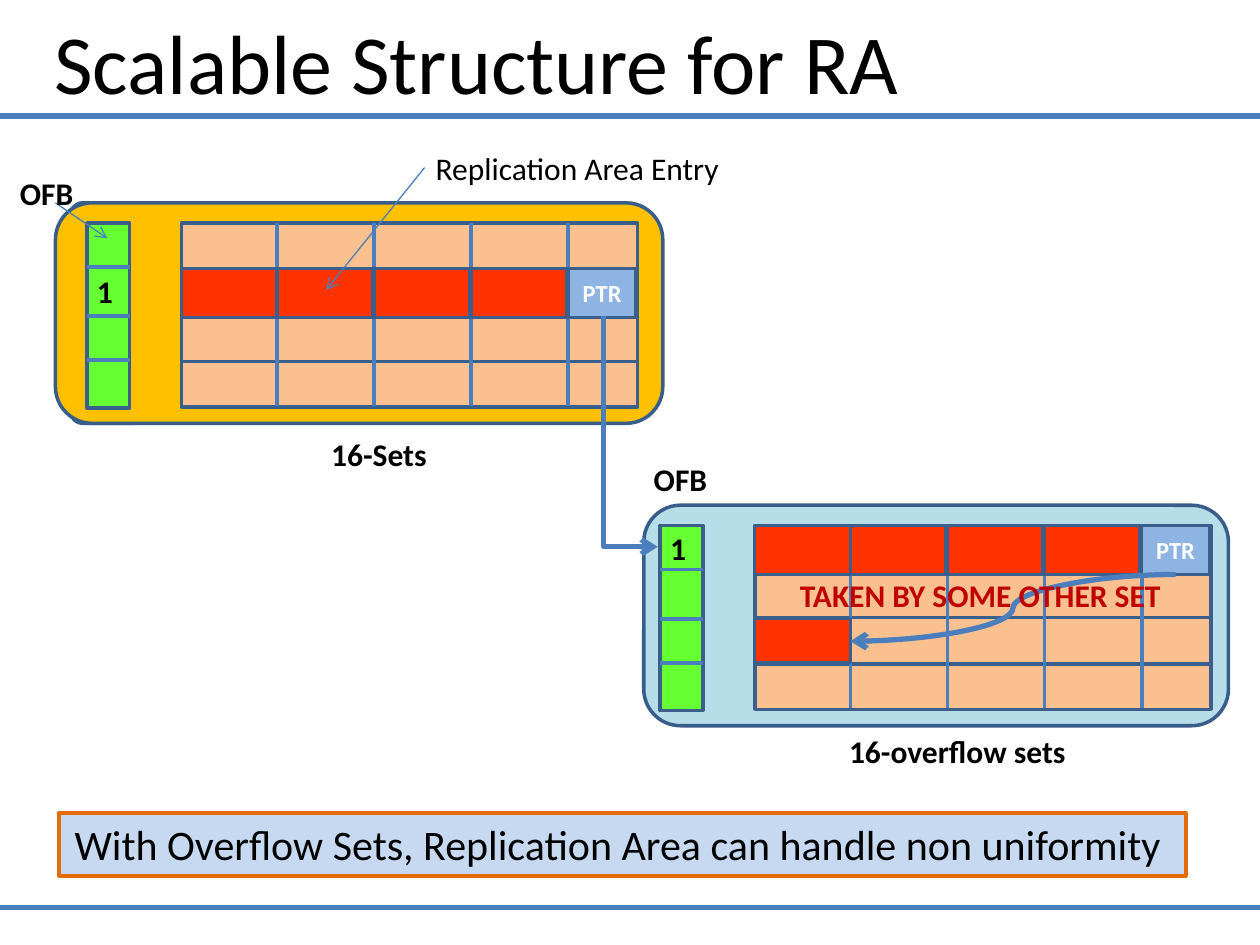
from dataclasses import dataclass

from lxml import etree
from pptx import Presentation
from pptx import util as u
from pptx.dml import color
from pptx.enum import shapes, text
from pptx.oxml import ns

PX = 9144


@dataclass(frozen=True)
class Theme:
    font: str = "Calibri"
    ink: str = "000000"
    white: str = "FFFFFF"
    connector: str = "4B7EBC"
    outline: str = "3A5F8C"
    panel_outline: str = "385D8A"
    gold: str = "FFC000"
    aqua: str = "B7DEE8"
    peach: str = "FAC090"
    green: str = "66FF33"
    red: str = "FF3300"
    pointer: str = "8EB4E3"
    warning: str = "C00000"
    banner: str = "C6D9F1"
    banner_outline: str = "E46C0A"
    title_size: int = 48
    banner_size: int = 24
    label_size: int = 18
    pointer_size: int = 14


@dataclass(frozen=True)
class Box:
    left: int
    top: int
    width: int
    height: int

    def emu(self) -> list:
        return [u.Emu(value * PX) for value in (self.left, self.top, self.width, self.height)]


@dataclass(frozen=True)
class Array:
    left: int
    top: int
    full_row: int


@dataclass(frozen=True)
class Label:
    words: str
    box: Box
    bold: bool = True
    colour: str = Theme.ink


THEME = Theme()
ROWS = (0, 36, 73, 109)
COLUMNS = (0, 76, 153, 230, 307)
FLAG_DIVIDERS = (35, 74, 109)
ROW_WIDTH, ROW_HEIGHT = 362, 37
ENTRY_WIDTH, ENTRY_HEIGHT = 76, 39
POINTER_WIDTH = 54
FLAG_OFFSET, FLAG_WIDTH, FLAG_HEIGHT = -75, 34, 147

REPLICATION = Array(144, 177, 1)
OVERFLOW = Array(599, 417, 0)
LABELS = (
    Label("OFB", Box(6, 133, 63, 40)),
    Label("OFB", Box(509, 360, 63, 40)),
    Label("16-Sets", Box(253, 340, 97, 40)),
    Label("16-overflow sets", Box(664, 576, 194, 40)),
    Label("Replication Area Entry", Box(336, 113, 249, 40), bold=False),
    Label("TAKEN BY SOME OTHER SET", Box(625, 452, 310, 40), colour=THEME.warning),
)


def rgb(value: str) -> color.RGBColor:
    return color.RGBColor.from_string(value)


def style(paragraph, size: int, colour: str, bold: bool = False) -> None:
    paragraph.font.name = THEME.font
    paragraph.font.size = u.Pt(size)
    paragraph.font.bold = bold
    paragraph.font.color.rgb = rgb(colour)


def add_block(slide, box: Box, fill: str, outline: str = THEME.outline, weight: float = 2,
              kind=shapes.MSO_SHAPE.RECTANGLE):
    shape = slide.shapes.add_shape(kind, *box.emu())
    shape.shadow.inherit = False
    shape.fill.solid()
    shape.fill.fore_color.rgb = rgb(fill)
    shape.line.color.rgb = rgb(outline)
    shape.line.width = u.Pt(weight)
    return shape


def write_centred(shape, words: str, size: int, colour: str, bold: bool = False) -> None:
    frame = shape.text_frame
    frame.word_wrap = False
    frame.vertical_anchor = text.MSO_ANCHOR.MIDDLE
    paragraph = frame.paragraphs[0]
    paragraph.text = words
    paragraph.alignment = text.PP_ALIGN.CENTER
    style(paragraph, size, colour, bold)


def add_label(slide, label: Label) -> None:
    frame = slide.shapes.add_textbox(*label.box.emu()).text_frame
    frame.word_wrap = False
    frame.auto_size = text.MSO_AUTO_SIZE.SHAPE_TO_FIT_TEXT
    paragraph = frame.paragraphs[0]
    paragraph.text = label.words
    style(paragraph, THEME.label_size, label.colour, label.bold)


def add_line(slide, start: tuple[int, int], end: tuple[int, int], weight: float = 2.25,
             arrow: bool = False, kind=shapes.MSO_CONNECTOR.STRAIGHT):
    points = [u.Emu(value * PX) for value in (*start, *end)]
    connector = slide.shapes.add_connector(kind, *points)
    connector.line.color.rgb = rgb(THEME.connector)
    connector.line.width = u.Pt(weight)
    if arrow:
        etree.SubElement(connector.line._get_or_add_ln(), ns.qn("a:tailEnd"), type="arrow")
    etree.SubElement(connector._element.spPr, ns.qn("a:effectLst"))
    return connector


def add_corner_arrow(slide, start: tuple[int, int], end: tuple[int, int]) -> None:
    across, down = end[0] - start[0], end[1] - start[1]
    left = (start[0] + end[0] - down) // 2
    top = (start[1] + end[1] - across) // 2
    connector = add_line(slide, (left + down, top), (left, top + across), 3, True,
                         shapes.MSO_CONNECTOR.ELBOW)
    properties = connector._element.spPr
    properties.find(ns.qn("a:xfrm")).set("rot", str(270 * 60000))
    properties.find(ns.qn("a:prstGeom")).set("prst", "bentConnector2")


def add_panel(slide, box: Box, fill: str, outline: str = THEME.panel_outline) -> None:
    add_block(slide, box, fill, outline, kind=shapes.MSO_SHAPE.ROUNDED_RECTANGLE)


def add_array(slide, array: Array) -> None:
    for offset in reversed(ROWS):
        add_block(slide, Box(array.left, array.top + offset, ROW_WIDTH, ROW_HEIGHT), THEME.peach)
    for offset in COLUMNS[1:]:
        x = array.left + offset
        add_line(slide, (x, array.top), (x, array.top + 145))

    flag_left = array.left + FLAG_OFFSET
    add_block(slide, Box(flag_left, array.top, FLAG_WIDTH, FLAG_HEIGHT), THEME.green)
    for offset in FLAG_DIVIDERS:
        y = array.top + offset
        add_line(slide, (flag_left, y), (flag_left + FLAG_WIDTH, y))

    row_top = array.top + ROWS[array.full_row]
    for offset in COLUMNS[:-1]:
        add_block(slide, Box(array.left + offset, row_top, ENTRY_WIDTH, ENTRY_HEIGHT), THEME.red)
    pointer = add_block(
        slide, Box(array.left + COLUMNS[-1], row_top, POINTER_WIDTH, ENTRY_HEIGHT), THEME.pointer)
    write_centred(pointer, "PTR", THEME.pointer_size, THEME.white, True)
    add_label(slide, Label("1", Box(flag_left - 2, row_top - 2, 33, 40)))


def add_title(slide) -> None:
    title = slide.shapes.title
    title.left, title.top, title.width, title.height = Box(33, 0, 942, 96).emu()
    title.text_frame.vertical_anchor = text.MSO_ANCHOR.MIDDLE
    paragraph = title.text_frame.paragraphs[0]
    paragraph.text = "Scalable Structure for RA"
    paragraph.alignment = text.PP_ALIGN.LEFT
    style(paragraph, THEME.title_size, THEME.ink)


def main() -> None:
    presentation = Presentation()
    presentation.slide_width, presentation.slide_height = u.Emu(1000 * PX), u.Emu(750 * PX)
    slide = presentation.slides.add_slide(presentation.slide_layouts[5])
    add_title(slide)
    for y in (92, 720):
        add_line(slide, (0, y), (1000, y), 3)

    add_panel(slide, Box(56, 161, 59, 175), THEME.gold, THEME.outline)
    add_panel(slide, Box(44, 161, 482, 175), THEME.gold)
    add_panel(slide, Box(511, 401, 464, 175), THEME.aqua)
    for array in (REPLICATION, OVERFLOW):
        add_array(slide, array)
    add_block(slide, Box(OVERFLOW.left, 491, ENTRY_WIDTH, 35), THEME.red)

    add_line(slide, (44, 161), (85, 189), 0.75, True)
    add_line(slide, (337, 133), (259, 230), 0.75, True)
    add_corner_arrow(slide, (479, 251), (522, 434))
    add_line(slide, (933, 456), (675, 509), 3, True, shapes.MSO_CONNECTOR.CURVE)
    for label in LABELS:
        add_label(slide, label)

    banner = add_block(slide, Box(47, 645, 894, 50), THEME.banner, THEME.banner_outline, 2.25)
    write_centred(banner, "With Overflow Sets, Replication Area can handle non uniformity ",
                  THEME.banner_size, THEME.ink)
    presentation.save("out.pptx")


if __name__ == "__main__":
    main()
